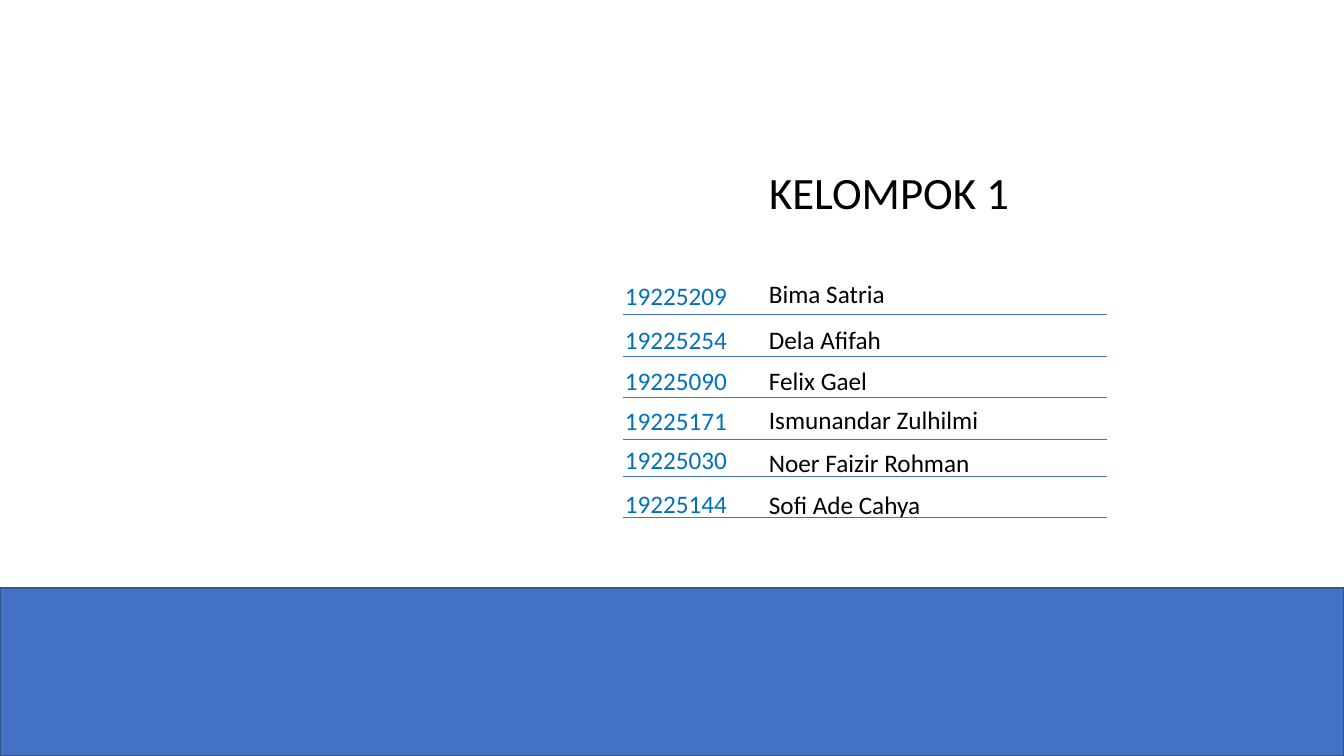
from dataclasses import dataclass

import pptx
import pptx.dml.color
import pptx.enum.shapes
import pptx.enum.text
import pptx.oxml
import pptx.oxml.ns
import pptx.util

EMU_PER_PX = 12192000 / 1344
SLIDE_W, SLIDE_H = 1344, 756
ID_LEFT, ID_W = 615, 123
NAME_LEFT = 759
ROW_H = 40
RULE_LEFT, RULE_RIGHT = 623, 1107
BAND_TOP = 588


@dataclass(frozen=True)
class Theme:
    font: str = "Calibri"
    title_size: int = 32
    body_size: int = 18
    rule_width: float = 0.5
    band_line_width: int = 1
    text: str = "000000"
    number: str = "0070C0"
    accent: str = "4472C4"
    band_line: str = "325491"


@dataclass(frozen=True)
class Member:
    number: str
    name: str
    number_top: int
    name_top: int
    name_width: int
    rule_y: int


THEME = Theme()
MEMBERS = [
    Member("19225209", "Bima Satria", 275, 273, 269, 314),
    Member("19225254", "Dela Afifah", 319, 319, 157, 356),
    Member("19225090", "Felix Gael", 360, 360, 123, 397),
    Member("19225171", "Ismunandar Zulhilmi", 400, 399, 237, 439),
    Member("19225030", "Noer Faizir Rohman", 439, 442, 269, 476),
    Member("19225144", "Sofi Ade Cahya", 483, 484, 216, 517),
]


def px(value: int) -> pptx.util.Emu:
    return pptx.util.Emu(round(value * EMU_PER_PX))


def rgb(value: str) -> pptx.dml.color.RGBColor:
    return pptx.dml.color.RGBColor.from_string(value)


def write(sp, text: str, size: int, color: str) -> None:
    """Fill a text shape with one left-aligned run."""
    tf = sp.text_frame
    tf.word_wrap = True
    tf.auto_size = pptx.enum.text.MSO_AUTO_SIZE.SHAPE_TO_FIT_TEXT
    tf.vertical_anchor = pptx.enum.text.MSO_ANCHOR.TOP
    p = tf.paragraphs[0]
    p.alignment = pptx.enum.text.PP_ALIGN.LEFT
    r = p.add_run()
    r.text = text
    r.font.name = THEME.font
    r.font.size = pptx.util.Pt(size)
    r.font.color.rgb = rgb(color)


def add_title(slide, text: str) -> None:
    sp = slide.shapes.title
    sp.left, sp.top, sp.width, sp.height = px(NAME_LEFT), px(160), px(288), px(65)
    write(sp, text, THEME.title_size, THEME.text)


def add_label(slide, text: str, left: int, top: int, width: int, color: str) -> None:
    sp = slide.shapes.add_textbox(px(left), px(top), px(width), px(ROW_H))
    write(sp, text, THEME.body_size, color)


def add_rule(slide, y: int) -> None:
    line = slide.shapes.add_connector(
        pptx.enum.shapes.MSO_CONNECTOR.STRAIGHT,
        px(RULE_LEFT), px(y), px(RULE_RIGHT), px(y))
    line.line.color.rgb = rgb(THEME.accent)
    line.line.width = pptx.util.Pt(THEME.rule_width)
    effects = pptx.oxml.parse_xml(f'<a:effectLst {pptx.oxml.ns.nsdecls("a")}/>')
    line._element.spPr.append(effects)


def add_member(slide, member: Member) -> None:
    add_label(slide, member.number, ID_LEFT, member.number_top, ID_W, THEME.number)
    add_label(slide, member.name, NAME_LEFT, member.name_top,
              member.name_width, THEME.text)
    add_rule(slide, member.rule_y)


def add_band(slide) -> None:
    sp = slide.shapes.add_shape(
        pptx.enum.shapes.MSO_SHAPE.RECTANGLE,
        px(0), px(BAND_TOP), px(SLIDE_W), px(SLIDE_H - BAND_TOP))
    sp.shadow.inherit = False
    sp.fill.solid()
    sp.fill.fore_color.rgb = rgb(THEME.accent)
    sp.line.color.rgb = rgb(THEME.band_line)
    sp.line.width = pptx.util.Pt(THEME.band_line_width)


def main() -> None:
    prs = pptx.Presentation()
    prs.slide_width, prs.slide_height = px(SLIDE_W), px(SLIDE_H)
    title_only = prs.slide_layouts.get_by_name("Title Only")
    slide = prs.slides.add_slide(title_only)
    add_title(slide, "KELOMPOK 1")
    for member in MEMBERS:
        add_member(slide, member)
    add_band(slide)
    prs.save("out.pptx")


if __name__ == "__main__":
    main()
